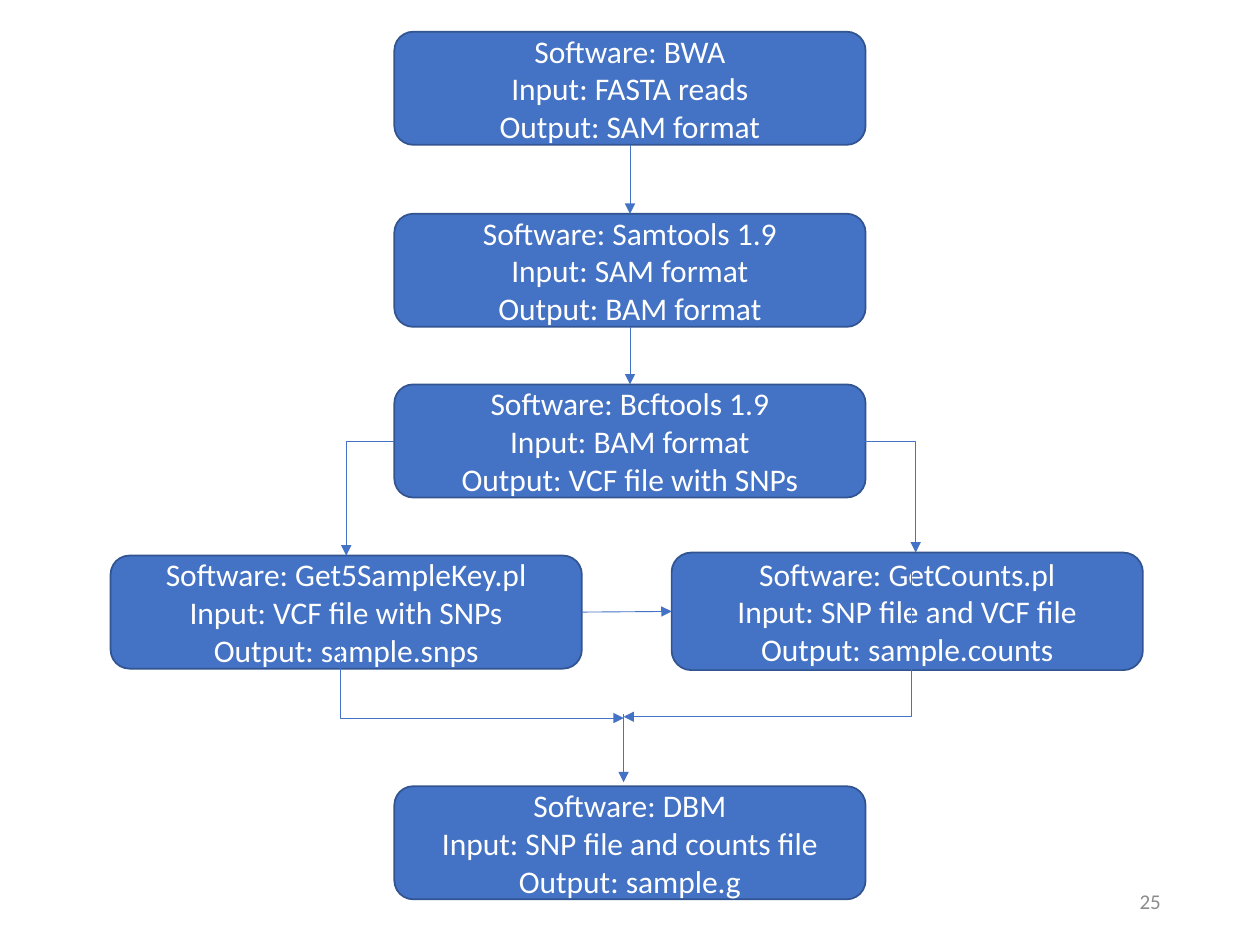
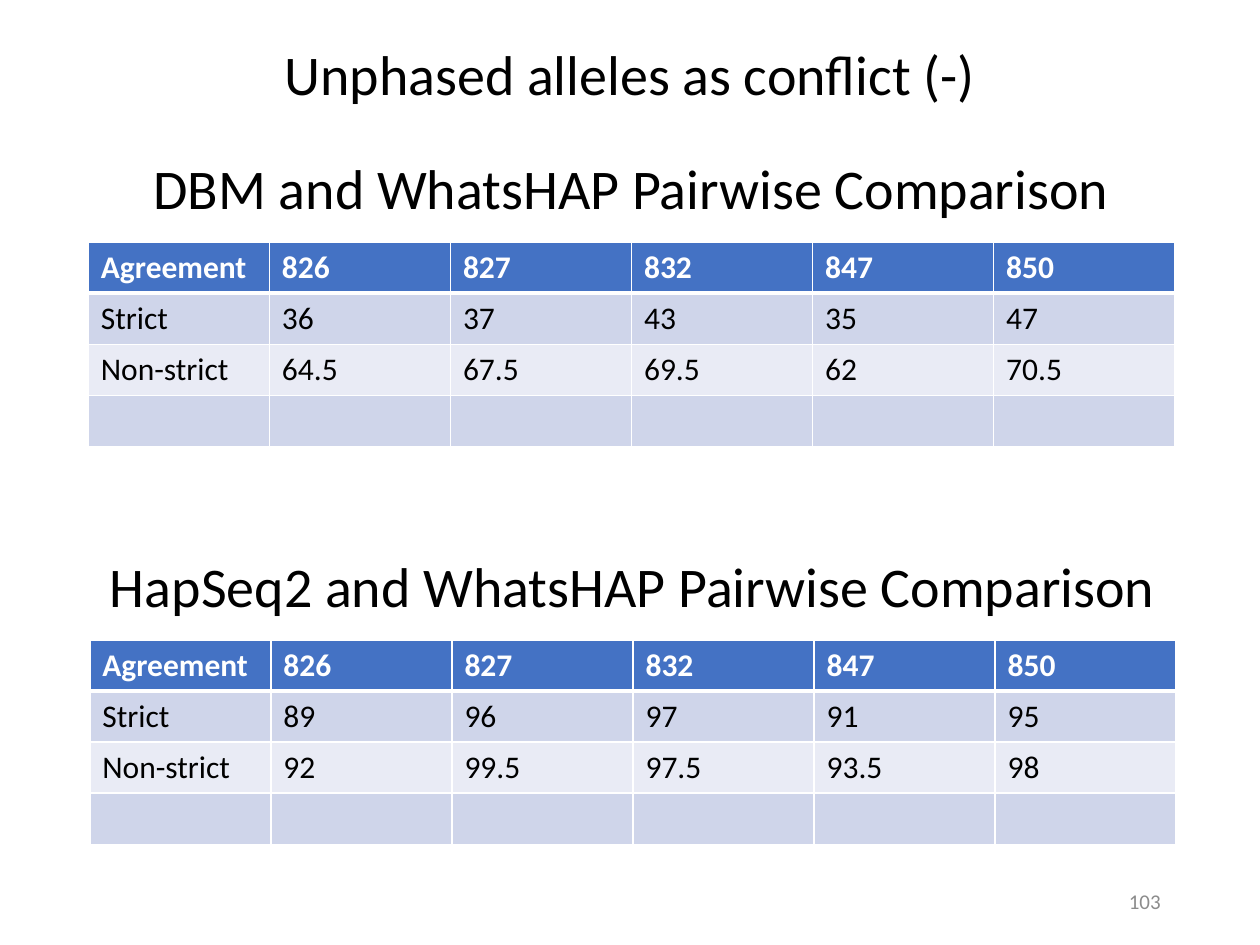
from dataclasses import dataclass

from lxml import etree
from pptx import Presentation
from pptx.dml.color import RGBColor
from pptx.enum.shapes import MSO_CONNECTOR, MSO_SHAPE
from pptx.enum.text import MSO_ANCHOR, PP_ALIGN
from pptx.oxml.ns import qn
from pptx.util import Cm, Pt

STRAIGHT, ELBOW = MSO_CONNECTOR.STRAIGHT, MSO_CONNECTOR.ELBOW
BOX = MSO_SHAPE.FLOWCHART_ALTERNATE_PROCESS
TOP, MIDDLE = MSO_ANCHOR.TOP, MSO_ANCHOR.MIDDLE
LEFT, CENTER, RIGHT = PP_ALIGN.LEFT, PP_ALIGN.CENTER, PP_ALIGN.RIGHT
TITLE_ONLY, BLANK = 5, 6
ON_TOP, ON_LEFT, ON_BOTTOM, ON_RIGHT = range(4)


@dataclass(frozen=True)
class Theme:
    font: str = "Calibri"
    blue: str = "4472C4"
    edge: str = "325491"
    band: str = "CFD5EA"
    pale: str = "E9EBF5"
    white: str = "FFFFFF"
    black: str = "000000"
    grey: str = "8C8C8C"
    head: int = 32
    body: int = 18
    note: int = 12


def apply(item, values):
    for name, value in values.items():
        setattr(item, name, value)


class Deck:
    def __init__(self, theme):
        self.theme = theme
        self.prs = Presentation()
        apply(self.prs, {"slide_width": Cm(25.4), "slide_height": Cm(19.05)})
        self.slide = None

    def page(self, layout, number):
        self.slide = self.prs.slides.add_slide(self.prs.slide_layouts[layout])
        self.label(str(number), (17.93, 17.65, 5.72, 1.02), self.theme.note,
                   self.theme.grey, RIGHT, MIDDLE)

    def words(self, frame, text, size, color, align, bold=False):
        frame.text = text
        for para in frame.paragraphs:
            para.alignment = align
            for run in para.runs:
                apply(run.font, {"name": self.theme.font, "size": Pt(size), "bold": bold})
                run.font.color.rgb = RGBColor.from_string(color)

    def paint(self, fill, color):
        fill.solid()
        fill.fore_color.rgb = RGBColor.from_string(color)

    def stroke(self, line, color, width):
        line.color.rgb = RGBColor.from_string(color)
        line.width = Pt(width)

    def label(self, text, area, size, color, align, anchor=TOP):
        frame = self.slide.shapes.add_textbox(*map(Cm, area)).text_frame
        apply(frame, {"word_wrap": True, "vertical_anchor": anchor})
        self.words(frame, text, size, color, align)

    def title(self, text, area):
        shape = self.slide.shapes.title
        apply(shape, dict(zip(("left", "top", "width", "height"), map(Cm, area))))
        self.words(shape.text_frame, text, self.theme.head, self.theme.black, CENTER)
        shape.text_frame.vertical_anchor = TOP

    def box(self, lines, left, top, height=2.28):
        shape = self.slide.shapes.add_shape(BOX, Cm(left), Cm(top), Cm(9.5), Cm(height))
        shape.shadow.inherit = False
        self.paint(shape.fill, self.theme.blue)
        self.stroke(shape.line, self.theme.edge, 1)
        self.words(shape.text_frame, lines, self.theme.body, self.theme.white, CENTER)
        shape.text_frame.vertical_anchor = MIDDLE
        return shape

    def arrow(self, kind, start, end):
        wire = self.slide.shapes.add_connector(kind, *map(Cm, start + end))
        self.stroke(wire.line, self.theme.blue, 0.5)
        props = wire.element.spPr
        etree.SubElement(props.find(qn("a:ln")), qn("a:tailEnd"), type="triangle")
        etree.SubElement(props, qn("a:effectLst"))
        return wire

    def join(self, first, side, second, other):
        wire = self.arrow(STRAIGHT, (0, 0), (0, 0))
        wire.begin_connect(first, side)
        wire.end_connect(second, other)

    def bend(self, left, top, width, height, turn=0, flip=None, middle=None):
        """Elbow in a frame turned by degrees; middle places a second corner."""
        wire = self.arrow(ELBOW, (left, top), (left + width, top + height))
        props = wire.element.spPr
        frame, geom = props.find(qn("a:xfrm")), props.find(qn("a:prstGeom"))
        if turn:
            frame.set("rot", str(turn * 60000))
        if flip:
            frame.set(flip, "1")
        if middle is None:
            geom.set("prst", "bentConnector2")
        else:
            etree.SubElement(geom.find(qn("a:avLst")), qn("a:gd"),
                             name="adj1", fmla=f"val {round(middle * 100000)}")

    def border(self, cell, widths):
        props = cell._tc.get_or_add_tcPr()
        for side, width in zip("LRTB", widths):
            line = etree.SubElement(props, qn(f"a:ln{side}"), w=str(Pt(width)))
            fill = etree.SubElement(line, qn("a:solidFill"))
            etree.SubElement(fill, qn("a:srgbClr"), val=self.theme.white)

    def table(self, rows, left, top, step=3.65, high=1.03):
        look = self.theme
        count, across = len(rows), len(rows[0])
        grid = self.slide.shapes.add_table(
            count, across, Cm(left), Cm(top), Cm(step * across), Cm(high * count)).table
        for col in grid.columns:
            col.width = Cm(step)
        for r, row in enumerate(rows):
            grid.rows[r].height = Cm(high)
            first = r == 0
            shade = look.blue if first else (look.pale, look.band)[r % 2]
            for c, text in enumerate(row):
                cell = grid.cell(r, c)
                self.border(cell, (1, 1, 3 if r == 1 else 1, 3 if first else 1))
                self.paint(cell.fill, shade)
                self.words(cell.text_frame, text, look.body,
                           look.white if first else look.black, LEFT, first)


def draw_flow(deck):
    deck.page(BLANK, 25)
    mid = 7.95
    steps = (
        ("BWA", "FASTA reads", "SAM format", mid, 0.64),
        ("Samtools 1.9", "SAM format", "BAM format", mid, 4.31),
        ("Bcftools 1.9", "BAM format", "VCF file with SNPs", mid, 7.75),
        ("Get5SampleKey.pl", "VCF file with SNPs", "sample.snps", 2.23, 11.2),
        ("DBM", "SNP file and counts file", "sample.g", mid, 15.85),
        ("GetCounts.pl", "SNP file and VCF file", "sample.counts", 13.54, 11.14, 2.37),
    )
    bwa, sam, bcf, key, _, counts = [
        deck.box(f"Software: {tool}\nInput: {source}\nOutput: {result}", *place)
        for tool, source, result, *place in steps]
    deck.join(bwa, ON_BOTTOM, sam, ON_TOP)
    deck.join(sam, ON_BOTTOM, bcf, ON_TOP)
    deck.bend(16.43, 8.89, 2.03, 2.25)
    deck.bend(6.98, 8.89, 0.97, 2.31, 180, "flipV")
    deck.join(key, ON_RIGHT, counts, ON_LEFT)
    deck.bend(8.99, 10.89, 1.45, 5.72, 270, "flipH")
    deck.bend(12.57, 11.35, 8.53, 3.1, 180, "flipV", 0.32)
    deck.arrow(STRAIGHT, (12.57, 14.4), (12.57, 15.77))


def draw_tables(deck):
    deck.page(TITLE_ONLY, 103)
    deck.title("Unphased alleles as conflict (-)", (1.75, 0.66, 21.9, 1.62))
    header = ("Agreement", "826", "827", "832", "847", "850")
    pairs = (
        ("DBM", 1.78, 4.88, ("36", "37", "43", "35", "47"),
         ("64.5", "67.5", "69.5", "62", "70.5")),
        ("HapSeq2", 1.81, 12.9, ("89", "96", "97", "91", "95"),
         ("92", "99.5", "97.5", "93.5", "98")),
    )
    for tool, left, top, strict, loose in pairs:
        deck.label(f"{tool} and WhatsHAP Pairwise Comparison", (left, top - 1.9, 21.9, 1.62),
                   deck.theme.head, deck.theme.black, CENTER)
        rows = (header, ("Strict", *strict), ("Non-strict", *loose), ("",) * len(header))
        deck.table(rows, left, top)


def main():
    deck = Deck(Theme())
    draw_flow(deck)
    draw_tables(deck)
    deck.prs.save("out.pptx")


if __name__ == "__main__":
    main()
